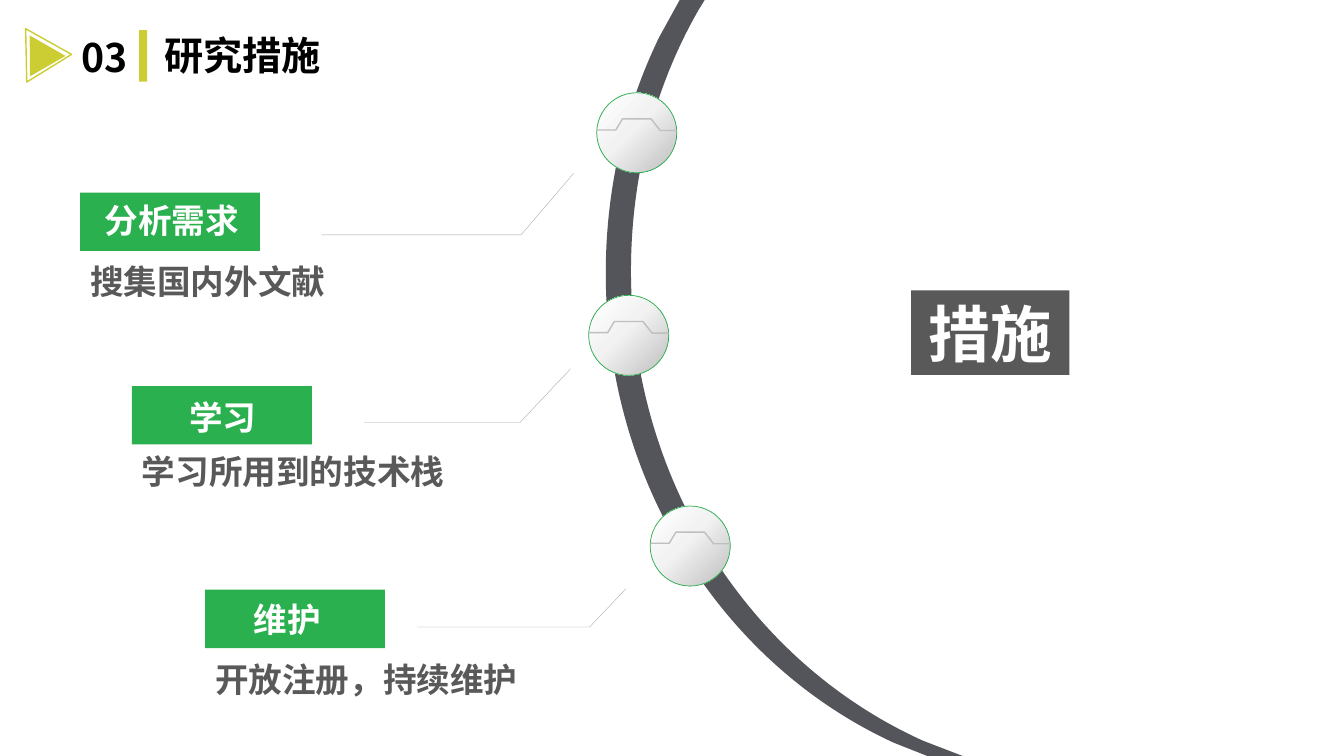
from pptx import Presentation, oxml, util as u
from pptx.dml.color import RGBColor
from pptx.enum import shapes, text
from pptx.oxml import ns

CELL = u.Inches(0.1)
COLUMNS, ROWS = 133.33, 75
COLORS = {
    "green": "2AB04E", "lime": "CCCC33", "dark": "54545B", "gray": "595959",
    "leader": "A6A6A6", "notch": "BFBFBF", "pale": "F2F2F2",
    "white": "FFFFFF", "black": "000000",
}
LABEL_FONT, TITLE_FONT = "Arial", "Noto Sans CJK SC"


def grid(*cells):
    return [round(cell * CELL) for cell in cells]


def color(name):
    return RGBColor.from_string(COLORS[name])


def paint(shape, fill=None, line=None, width=1):
    shape.shadow.inherit = False
    if fill:
        shape.fill.solid()
        shape.fill.fore_color.rgb = color(fill)
    else:
        shape.fill.background()
    if line:
        shape.line.color.rgb = color(line)
        shape.line.width = u.Pt(width)
    else:
        shape.line.fill.background()


def add_preset(page, kind, box, **style):
    shape = page.shapes.add_shape(kind, *grid(*box))
    paint(shape, **style)
    return shape


def add_outline(page, points, closed=False, **style):
    start, *others = [grid(*point) for point in points]
    builder = page.shapes.build_freeform(*start)
    builder.add_line_segments(others, close=closed)
    outline = builder.convert_to_shape()
    paint(outline, **style)
    return outline


def bend(outline, starts):
    lines = list(outline._element.iter(ns.qn("a:lnTo")))
    for start in starts:
        first, *others = lines[start:start + 3]
        first.tag = ns.qn("a:cubicBezTo")
        for line in others:
            first.append(line[0])
            line.getparent().remove(line)


def write(shape, words, size, font, shade, align=text.PP_ALIGN.LEFT):
    frame = shape.text_frame
    frame.word_wrap = True
    frame.auto_size = text.MSO_AUTO_SIZE.NONE
    frame.vertical_anchor = text.MSO_ANCHOR.TOP
    para = frame.paragraphs[0]
    para.text = words
    para.alignment = align
    para.font.size, para.font.bold, para.font.name = u.Pt(size), True, font
    para.font.color.rgb = color(shade)


def add_label(page, box, *style):
    write(page.shapes.add_textbox(*grid(*box)), *style)


def add_heading(page, left, top):
    triangle = shapes.MSO_SHAPE.ISOSCELES_TRIANGLE
    frame = add_preset(page, triangle, (left, top + 0.6, 5.3, 4.5), line="lime")
    frame.rotation = 88.8
    core = add_preset(page, triangle, (left - 0.4, top + 1.7, 4.1, 3.5), fill="lime")
    core.rotation = 209.8
    add_preset(page, shapes.MSO_SHAPE.RECTANGLE,
               (left + 11.6, top + 0.4, 0.8, 5.1), fill="lime")
    add_label(page, (left + 4.9, top + 0.2, 7.5, 5.7), "03", 28, TITLE_FONT, "black")
    title = page.shapes.title
    title.left, title.top, title.width, title.height = grid(
        left + 13.1, top, 56.2, 5.7)
    write(title, "研究措施", 28, TITLE_FONT, "black")


def add_arc(page):
    outer = [(67.6, -0.3), (70.1, -0.3), (69.3, 1),
             (65, 8.5), (62.6, 17.4), (62.6, 26.9),
             (62.6, 47.8), (74.5, 65.8), (91.6, 73.5)]
    inner = [(95.5, ROWS), (92, ROWS), (88.7, 73.7),
             (71.9, 66), (60.1, 48.1), (60.1, 27.1),
             (60.1, 18.7), (62, 10.7), (65.4, 3.7)]
    arc = add_outline(page, outer + inner, closed=True, fill="dark")
    bend(arc, (2, 5, 11, 14))


def add_node(page, left, top, size=7.94):
    ball = add_preset(page, shapes.MSO_SHAPE.OVAL, (left, top, size, size),
                      fill="white", line="green", width=0.5)
    stops = "".join(
        f'<a:gs pos="{share}000"><a:srgbClr val="{COLORS[name]}"/></a:gs>'
        for share, name in ((3, "white"), (45, "pale"), (99, "notch")))
    gradient = oxml.parse_xml(
        f'<a:gradFill {ns.nsdecls("a")}><a:gsLst>{stops}</a:gsLst>'
        '<a:path path="circle"><a:fillToRect r="100000" b="100000"/></a:path>'
        '</a:gradFill>')
    properties = ball._element.spPr
    properties.replace(properties.find(ns.qn("a:solidFill")), gradient)
    notch = ((0.05, 3.7), (1.9, 3.7), (2.55, 2.6), (5.4, 2.6), (6.3, 3.75), (7.94, 3.75))
    add_outline(page, [(left + x, top + y) for x, y in notch], line="notch")


def add_measure(page, left, top, name, name_offset, detail, detail_drop):
    add_preset(page, shapes.MSO_SHAPE.RECTANGLE, (left, top, 17.85, 5.8), fill="green")
    name_x, name_y = name_offset
    add_label(page, (left + name_x, top + name_y, 38.8, 5),
              name, 24, LABEL_FONT, "white")
    add_label(page, (left, top + detail_drop, 42.2, 5),
              detail, 24, LABEL_FONT, "gray")


def add_topic(page, box):
    topic = add_preset(page, shapes.MSO_SHAPE.RECTANGLE, box, fill="gray")
    write(topic, "措施", 44, LABEL_FONT, "white", text.PP_ALIGN.CENTER)
    topic.text_frame.vertical_anchor = text.MSO_ANCHOR.MIDDLE


def build_measures_page(deck):
    page = deck.slides.add_slide(deck.slide_layouts.get_by_name("Title Only"))
    add_arc(page)
    for left, top in ((59.2, 9.2), (58.4, 29.3), (64.5, 50.2)):
        add_node(page, left, top)
    measures = (
        (7.95, 19.1, "分析需求", (1.45, 0.25), "搜集国内外文献", 6.3),
        (13.1, 38.3, "学习", (4.7, 0.6), "学习所用到的技术栈", 5.9),
        (20.35, 58.5, "维护", (3.85, 0.4), "开放注册，持续维护", 6.4),
    )
    for measure in measures:
        add_measure(page, *measure)
    leaders = (
        ((31.9, 23.3), (51.7, 23.3), (56.9, 17.2)),
        ((36.1, 41.9), (51.6, 41.9), (56.6, 36.6)),
        ((41.4, 62.2), (58.5, 62.2), (62.1, 58.4)),
    )
    for leader in leaders:
        add_outline(page, leader, line="leader", width=0.25)
    add_heading(page, 2.2, 2.6)
    add_topic(page, (90.4, 28.8, 15.7, 8.4))


def main():
    deck = Presentation()
    deck.slide_width, deck.slide_height = grid(COLUMNS, ROWS)
    build_measures_page(deck)
    deck.save("out.pptx")


if __name__ == "__main__":
    main()
